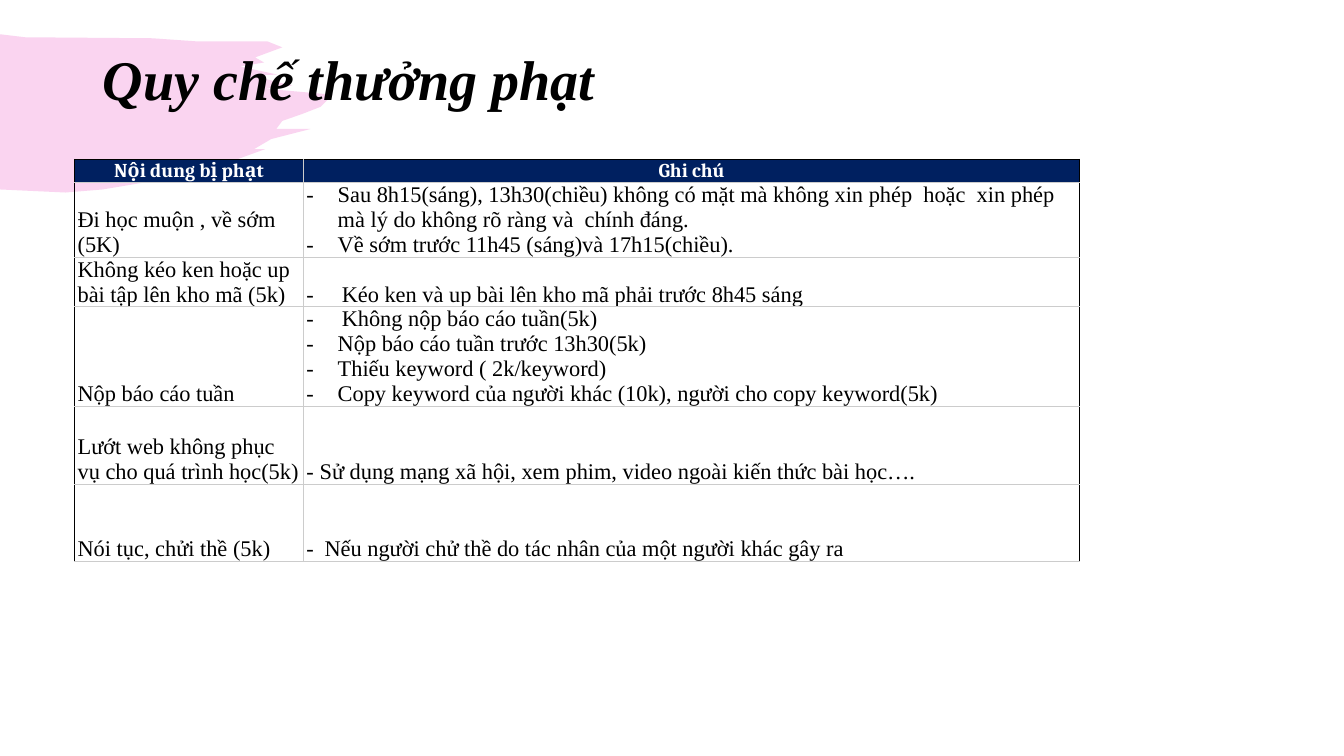
"""Build the slide of rewards and penalties: a brush stroke, a title and a table of rules."""
from lxml.etree import SubElement
from pptx import Presentation
from pptx.dml.color import RGBColor
from pptx.enum.text import MSO_ANCHOR as Anchor, PP_ALIGN as Align
from pptx.oxml.ns import qn
from pptx.util import Inches, Pt

BLACK = RGBColor(0x00, 0x00, 0x00)
WHITE = RGBColor(0xFF, 0xFF, 0xFF)
NAVY = RGBColor(0x00, 0x20, 0x60)
GREY = RGBColor(0xCC, 0xCC, 0xCC)
PINK = RGBColor(0xE7, 0x29, 0xB5)

BRUSH_POINTS = [
    (0.25, 0.37), (1.51, 0.38), (1.94, 0.41), (2.65, 0.41), (2.8, 0.47),
    (2.53, 0.57), (2.62, 0.62), (2.38, 0.66), (2.75, 0.74), (2.51, 0.75),
    (2.73, 0.81), (2.9, 0.85), (2.63, 0.88), (3.3, 0.94), (3.18, 1.06),
    (3, 1.13), (2.8, 1.2), (2.74, 1.28), (3.08, 1.28), (2.69, 1.38),
    (2.52, 1.48), (2.63, 1.48), (1.97, 1.72), (1.02, 1.88), (0.65, 1.91),
    (0, 1.88),
]

HEADINGS = ["Nội dung bị phạt", "Ghi chú"]
RULES = [
    ("Đi học muộn , về sớm (5K)", 0.74, [
        ("Sau 8h15(sáng), 13h30(chiều) không có mặt mà không xin phép  hoặc  xin phép "
         "mà lý do không rõ ràng và  chính đáng.", 0.31),
        ("Về sớm trước 11h45 (sáng)và 17h15(chiều).", 0.31)]),
    ("Không kéo ken hoặc up bài tập lên kho mã (5k)", 0.49, [
        ("Kéo ken và up bài lên kho mã phải trước 8h45 sáng", 0.35)]),
    ("Nộp báo cáo tuần", 0.98, [
        ("Không nộp báo cáo tuần(5k)", 0.35),
        ("Nộp báo cáo tuần trước 13h30(5k)", 0.31),
        ("Thiếu keyword ( 2k/keyword)", 0.31),
        ("Copy keyword của người khác (10k), người cho copy keyword(5k)", 0.31)]),
    ("Lướt web không phục vụ cho quá trình học(5k)", 0.77, [
        ("Sử dụng mạng xã hội, xem phim, video ngoài kiến thức bài học….", 0.13)]),
    ("Nói tục, chửi thề (5k)", 0.77, [
        ("Nếu người chử thề do tác nhân của một người khác gây ra", 0.18)]),
]


def write_text(paragraph, text, size=16, face="Times New Roman", color=BLACK,
               bold=False, italic=False, align=Align.LEFT, dash_indent=None):
    if dash_indent:
        properties = paragraph._p.get_or_add_pPr()
        properties.set("marL", str(Inches(dash_indent)))
        properties.set("indent", str(-Inches(dash_indent)))
        SubElement(properties, qn("a:buFont"), typeface=face)
        SubElement(properties, qn("a:buChar"), char="-")
    paragraph.alignment = align
    run = paragraph.add_run()
    run.text = text
    font = run.font
    font.size, font.name, font.bold, font.italic = Pt(size), face, bold, italic
    font.color.rgb = color


def frame_cell(cell, margin, borders):
    cell.vertical_anchor = Anchor.BOTTOM
    cell.margin_left = cell.margin_right = Inches(margin)
    cell.margin_top = cell.margin_bottom = 0
    properties = cell._tc.get_or_add_tcPr()
    for side, color in borders.items():
        edge = SubElement(properties, qn(f"a:ln{side}"), w=str(Pt(0.75)))
        SubElement(SubElement(edge, qn("a:solidFill")), qn("a:srgbClr"), val=str(color))


deck = Presentation()
deck.slide_width, deck.slide_height = Inches(13.33), Inches(7.5)
slide = deck.slides.add_slide(deck.slide_layouts[5])

outline = slide.shapes.build_freeform(0, Inches(0.34))
outline.add_line_segments([(Inches(x), Inches(y)) for x, y in BRUSH_POINTS])
brush = outline.convert_to_shape()
brush.shadow.inherit = False
brush.line.fill.background()
brush.fill.solid()
brush.fill.fore_color.rgb = PINK
brush_color = brush._element.spPr.find(f"{qn('a:solidFill')}/{qn('a:srgbClr')}")
SubElement(brush_color, qn("a:alpha"), val="20000")
slide.shapes._spTree.insert(2, brush._element)

title = slide.shapes.title
title.left, title.top = Inches(0.92), Inches(0.09)
title.width, title.height = Inches(11.5), Inches(1.45)
title.text_frame.vertical_anchor = Anchor.MIDDLE
title_line = title.text_frame.paragraphs[0]
title_line.line_spacing = 0.9
write_text(title_line, "Quy chế thưởng phạt", size=40, bold=True, italic=True)

row_heights = [0.23] + [height for _, height, _ in RULES]
penalties = slide.shapes.add_table(len(row_heights), 2, Inches(0.74), Inches(1.58),
                                   Inches(9.97), Inches(sum(row_heights))).table
penalties.first_row = penalties.horz_banding = False
penalties.columns[0].width, penalties.columns[1].width = Inches(2.27), Inches(7.7)
for row, height in zip(penalties.rows, row_heights):
    row.height = Inches(height)

for column, heading in enumerate(HEADINGS):
    sides = {"L": GREY if column else BLACK, "R": BLACK if column else GREY}
    header = penalties.cell(0, column)
    frame_cell(header, 0.01, {**sides, "T": BLACK, "B": GREY})
    header.fill.solid()
    header.fill.fore_color.rgb = NAVY
    write_text(header.text_frame.paragraphs[0], heading, size=14, face="Cambria",
               color=WHITE, bold=True, align=Align.CENTER)
    for index, (offence, _, notes) in enumerate(RULES, start=1):
        cell = penalties.cell(index, column)
        frame_cell(cell, 0.03, {**sides, "T": GREY, "B": GREY})
        cell.fill.background()
        for position, (text, indent) in enumerate(notes if column else [(offence, None)]):
            frame = cell.text_frame
            paragraph = frame.add_paragraph() if position else frame.paragraphs[0]
            write_text(paragraph, text, dash_indent=indent)

deck.save("out.pptx")
